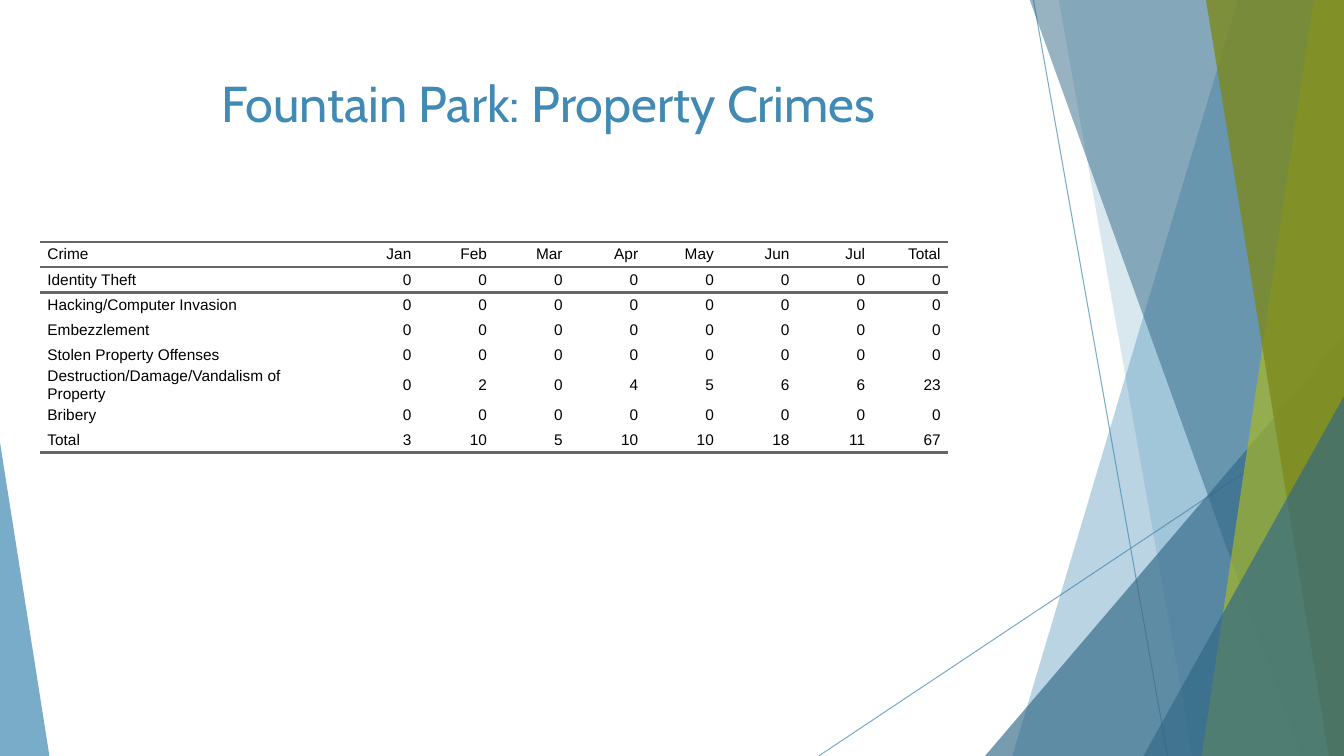
from lxml.etree import SubElement
from pptx import Presentation
from pptx.dml.color import RGBColor
from pptx.enum.shapes import MSO_CONNECTOR, MSO_SHAPE
from pptx.enum.text import MSO_ANCHOR, PP_ALIGN
from pptx.oxml.ns import qn
from pptx.util import Inches, Pt

WIDTH, HEIGHT = 13.33, 7.5
BLUE, DARK_BLUE, LIME, OLIVE = "418AB3", "316886", "A6B727", "7D891D"
BLACK, GRAY = "000000", "666666"
NO_TABLE_STYLE = "{2D5ABB26-0587-4C30-8999-92F81FD0307C}"

MONTHS = ["Jan", "Feb", "Mar", "Apr", "May", "Jun", "Jul"]
CRIMES = [
    ("Identity Theft", [0] * 8),
    ("Hacking/Computer Invasion", [0] * 8),
    ("Embezzlement", [0] * 8),
    ("Stolen Property Offenses", [0] * 8),
    ("Destruction/Damage/Vandalism of Property", [0, 2, 0, 4, 5, 6, 6, 23]),
    ("Bribery", [0] * 8),
    ("Total", [3, 10, 5, 10, 10, 18, 11, 67]),
]


def color(value):
    return RGBColor.from_string(value)


def set_values(target, values):
    for name, value in values.items():
        setattr(target, name, value)


def set_opacity(shape, percent):
    for node in shape.element.iter(qn("a:srgbClr")):
        SubElement(node, qn("a:alpha"), val=str(percent * 1000))


def paint(shape, fill, opacity):
    shape.shadow.inherit = False
    shape.fill.solid()
    shape.fill.fore_color.rgb = color(fill)
    shape.line.fill.background()
    set_opacity(shape, opacity)


def add_line(slide, *ends):
    line = slide.shapes.add_connector(MSO_CONNECTOR.STRAIGHT, *map(Inches, ends))
    line.line.color.rgb = color(BLUE)
    line.line.width = Pt(0.75)
    set_opacity(line, 70)
    SubElement(line.element.spPr, qn("a:effectLst"))


def add_band(slide, top_left, bottom_left, fill, opacity):
    """Band from a slanted left side to the right edge of the slide."""
    top = -0.01
    corners = [(top_left, top), (WIDTH, top), (WIDTH, HEIGHT), (bottom_left, HEIGHT)]
    points = [(Inches(x), Inches(y)) for x, y in corners]
    builder = slide.shapes.build_freeform(*points[0])
    builder.add_line_segments(points[1:], close=True)
    paint(builder.convert_to_shape(), fill, opacity)


def add_triangle(slide, left, top, width, apex, fill, opacity):
    """Triangle that stands on the bottom edge of the slide."""
    box = map(Inches, (left, top, width, HEIGHT - top))
    triangle = slide.shapes.add_shape(MSO_SHAPE.ISOSCELES_TRIANGLE, *box)
    triangle.adjustments[0] = apex
    paint(triangle, fill, opacity)


def write(paragraph, text, font, size, font_color, align):
    paragraph.alignment = align
    run = paragraph.add_run()
    run.text = text
    set_values(run.font, {"name": font, "size": Pt(size)})
    run.font.color.rgb = color(font_color)


def add_title(slide, text):
    box = slide.shapes.add_textbox(*map(Inches, (0.74, 0.67, 9.4, 1.44)))
    box.text_frame.word_wrap = True
    write(box.text_frame.paragraphs[0], text, "Cabin", 36, BLUE, PP_ALIGN.CENTER)


def add_border(cell, side):
    properties = cell._tc.get_or_add_tcPr()
    line = SubElement(properties, qn(f"a:{side}"), w=str(Pt(2)))
    SubElement(SubElement(line, qn("a:solidFill")), qn("a:srgbClr"), val=GRAY)


def fill_cell(cell, text, align, borders):
    set_values(cell, {"margin_left": 0, "margin_right": 0, "margin_top": 0,
                      "margin_bottom": 0, "vertical_anchor": MSO_ANCHOR.MIDDLE})
    for side in borders:
        add_border(cell, side)
    cell.fill.background()
    paragraph = cell.text_frame.paragraphs[0]
    write(paragraph, text, "Arial", 11, BLACK, align)
    set_values(paragraph, {"space_before": Pt(5), "space_after": Pt(5)})
    for margin in ("marL", "marR"):
        paragraph._p.get_or_add_pPr().set(margin, str(Inches(0.07)))


def add_crime_table(slide):
    rows = [("Crime", MONTHS + ["Total"])] + CRIMES
    columns = len(MONTHS) + 2
    frame = slide.shapes.add_table(len(rows), columns, *map(Inches, (0.4, 2.4, 9, 2)))
    table = frame.table
    set_values(table, {"first_row": False, "horz_banding": False})
    next(frame.element.iter(qn("a:tableStyleId"))).text = NO_TABLE_STYLE
    for index, column in enumerate(table.columns):
        column.width = Inches(0.75 if index else 3)
    for row in table.rows:
        row.height = Inches(0.25)

    # Rules above and below the header, and below the totals
    borders = {0: ["lnT", "lnB"], 1: ["lnT"], len(rows) - 1: ["lnB"]}
    for row, (label, values) in enumerate(rows):
        for column, value in enumerate([label, *values]):
            align = PP_ALIGN.RIGHT if column else PP_ALIGN.LEFT
            fill_cell(table.cell(row, column), str(value), align, borders.get(row, []))


def add_decoration(slide):
    add_line(slide, 10.25, 0, 11.58, HEIGHT)
    add_line(slide, WIDTH, 4.03, 8.12, HEIGHT)
    add_band(slide, 12.28, 10.04, BLUE, 36)
    add_band(slide, 10.5, 11.83, BLUE, 20)
    add_triangle(slide, 9.77, 3.33, 3.56, 1, DARK_BLUE, 66)
    add_band(slide, 10.21, 12.91, DARK_BLUE, 50)
    add_band(slide, 13.03, 11.92, LIME, 70)
    add_band(slide, 11.96, 13.18, OLIVE, 80)
    add_triangle(slide, 11.34, 3.93, 1.99, 1, DARK_BLUE, 66)
    add_triangle(slide, 0, 4.39, 0.49, 0, BLUE, 70)


def main():
    presentation = Presentation()
    set_values(presentation, {"slide_width": Inches(WIDTH),
                              "slide_height": Inches(HEIGHT)})
    slide = presentation.slides.add_slide(presentation.slide_layouts[6])
    add_decoration(slide)
    add_crime_table(slide)
    add_title(slide, "Fountain Park: Property Crimes")
    presentation.save("out.pptx")


if __name__ == "__main__":
    main()
